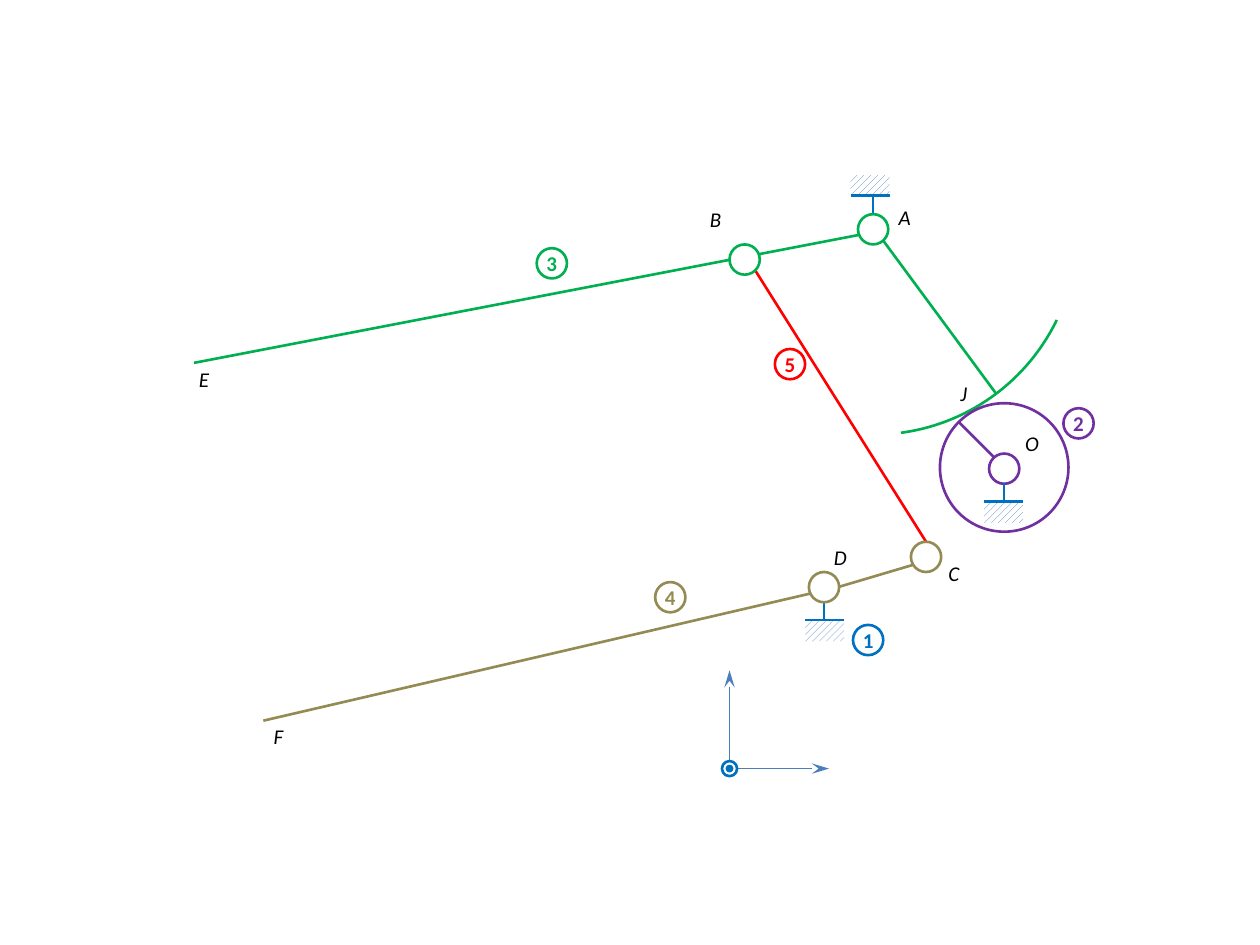
from lxml.etree import SubElement
from pptx import Presentation
from pptx.dml.color import RGBColor
from pptx.enum.dml import MSO_PATTERN
from pptx.enum.shapes import MSO_CONNECTOR, MSO_SHAPE
from pptx.enum.text import MSO_ANCHOR, PP_ALIGN
from pptx.oxml.ns import qn
from pptx.util import Inches, Pt

GREEN = RGBColor(0x00, 0xB0, 0x50)
OLIVE = RGBColor(0x94, 0x8A, 0x54)
RED = RGBColor(0xFF, 0x00, 0x00)
BLUE = RGBColor(0x00, 0x70, 0xC0)
PURPLE = RGBColor(0x70, 0x30, 0xA0)
AXIS = RGBColor(0x4B, 0x7E, 0xBC)
HATCH = RGBColor(0x4F, 0x81, 0xBD)
BLACK = RGBColor(0x00, 0x00, 0x00)
WHITE = RGBColor(0xFF, 0xFF, 0xFF)
JOINT = 0.24


def add_bar(shapes, start, end, color, width=1.5):
    bar = shapes.add_connector(MSO_CONNECTOR.STRAIGHT, *map(Inches, start + end))
    bar.line.color.rgb = color
    bar.line.width = Pt(width)
    SubElement(bar._element.spPr, qn("a:effectLst"))
    return bar


def add_disc(shapes, left, top, size=JOINT, outline=None, fill=None, text="", text_color=BLACK):
    disc = shapes.add_shape(MSO_SHAPE.OVAL, *map(Inches, (left, top, size, size)))
    disc.shadow.inherit = False
    if fill is None:
        disc.fill.background()
    else:
        disc.fill.solid()
        disc.fill.fore_color.rgb = fill
    if outline is None:
        disc.line.fill.background()
    else:
        disc.line.color.rgb = outline
        disc.line.width = Pt(1.5)
    if text:
        frame = disc.text_frame
        frame.margin_left = frame.margin_right = frame.margin_top = frame.margin_bottom = 0
        frame.vertical_anchor = MSO_ANCHOR.MIDDLE
        frame.paragraphs[0].alignment = PP_ALIGN.CENTER
        run = frame.paragraphs[0].add_run()
        run.text = text
        run.font.name = "Calibri"
        run.font.size = Pt(12)
        run.font.color.rgb = text_color
        run.font.bold = text.isdigit()
        run.font.italic = text.isalpha()


prs = Presentation()
prs.slide_width, prs.slide_height = Inches(10), Inches(7.5)
slide = prs.slides.add_slide(prs.slide_layouts[6])
mechanism = slide.shapes

for start, end, color in [
    ((7.05, 1.82), (1.54, 2.88), GREEN),
    ((7.01, 1.91), (7.91, 3.13), GREEN),
    ((6.65, 4.66), (7.46, 4.42), OLIVE),
    ((6.65, 4.66), (2.09, 5.72), OLIVE),
    ((5.99, 2.14), (7.35, 4.3), RED),
]:
    add_bar(mechanism, start, end, color)

brake_shoe = mechanism.add_shape(MSO_SHAPE.ARC, *map(Inches, (5.32, 0.22, 3.23, 3.23)))
brake_shoe.shadow.inherit = False
brake_shoe.adjustments[0] = 15.521
brake_shoe.adjustments[1] = 49.376
brake_shoe.fill.background()
brake_shoe.line.color.rgb = GREEN
brake_shoe.line.width = Pt(1.5)

drum = mechanism.add_group_shape().shapes
add_disc(drum, 7.46, 3.2, 1.02, PURPLE)
add_disc(drum, 7.85, 3.6, outline=PURPLE)
add_bar(drum, (7.89, 3.63), (7.61, 3.35), PURPLE)

for shapes, left, hatch_top, plate_y, stem_x, stem_top, stem_bottom in [
    (mechanism, 6.75, 1.39, 1.55, 6.93, 1.55, 1.7),
    (mechanism, 6.39, 4.93, 4.92, 6.54, 4.77, 4.93),
    (drum, 7.81, 3.99, 3.98, 7.97, 3.83, 3.99),
]:
    ground = shapes.add_shape(MSO_SHAPE.RECTANGLE, *map(Inches, (left, hatch_top, 0.31, 0.16)))
    ground.shadow.inherit = False
    ground.fill.patterned()
    ground.fill.pattern = MSO_PATTERN.WIDE_UPWARD_DIAGONAL
    ground.fill.fore_color.rgb = HATCH
    ground.fill.back_color.rgb = WHITE
    ground.line.fill.background()
    add_bar(shapes, (stem_x, stem_top), (stem_x, stem_bottom), BLUE)
    add_bar(shapes, (left + 0.31, plate_y), (left, plate_y), BLUE)

for left, top, color in [
    (6.81, 1.7, GREEN),
    (5.79, 1.94, GREEN),
    (7.23, 4.3, OLIVE),
    (6.42, 4.54, OLIVE),
]:
    add_disc(mechanism, left, top, outline=color, fill=WHITE)

for shapes, number, left, top, color in [
    (mechanism, "1", 6.77, 4.96, BLUE),
    (drum, "2", 8.44, 3.24, PURPLE),
    (mechanism, "3", 4.26, 1.97, GREEN),
    (mechanism, "4", 5.2, 4.62, OLIVE),
    (mechanism, "5", 6.15, 2.77, RED),
]:
    add_disc(shapes, left, top, outline=color, fill=WHITE, text=number, text_color=color)

for shapes, point, left, top, fill in [
    (mechanism, "A", 7.06, 1.6, WHITE),
    (mechanism, "B", 5.56, 1.62, WHITE),
    (mechanism, "C", 7.45, 4.43, None),
    (mechanism, "D", 6.55, 4.3, None),
    (mechanism, "F", 2.09, 5.72, None),
    (mechanism, "E", 1.5, 2.89, None),
    (mechanism, "J", 7.53, 3, None),
    (drum, "O", 8.07, 3.4, None),
]:
    add_disc(shapes, left, top, fill=fill, text=point)

for start, end in [((5.79, 6.11), (5.79, 5.32)), ((5.8, 6.1), (6.58, 6.1))]:
    axis = add_bar(mechanism, start, end, AXIS, 1)
    SubElement(axis.line._get_or_add_ln(), qn("a:tailEnd"), type="stealth", w="med", len="lg")

add_disc(mechanism, 5.73, 6.04, 0.12, BLUE, WHITE)
add_disc(mechanism, 5.77, 6.08, 0.04, BLUE, BLUE)

prs.save("out.pptx")
